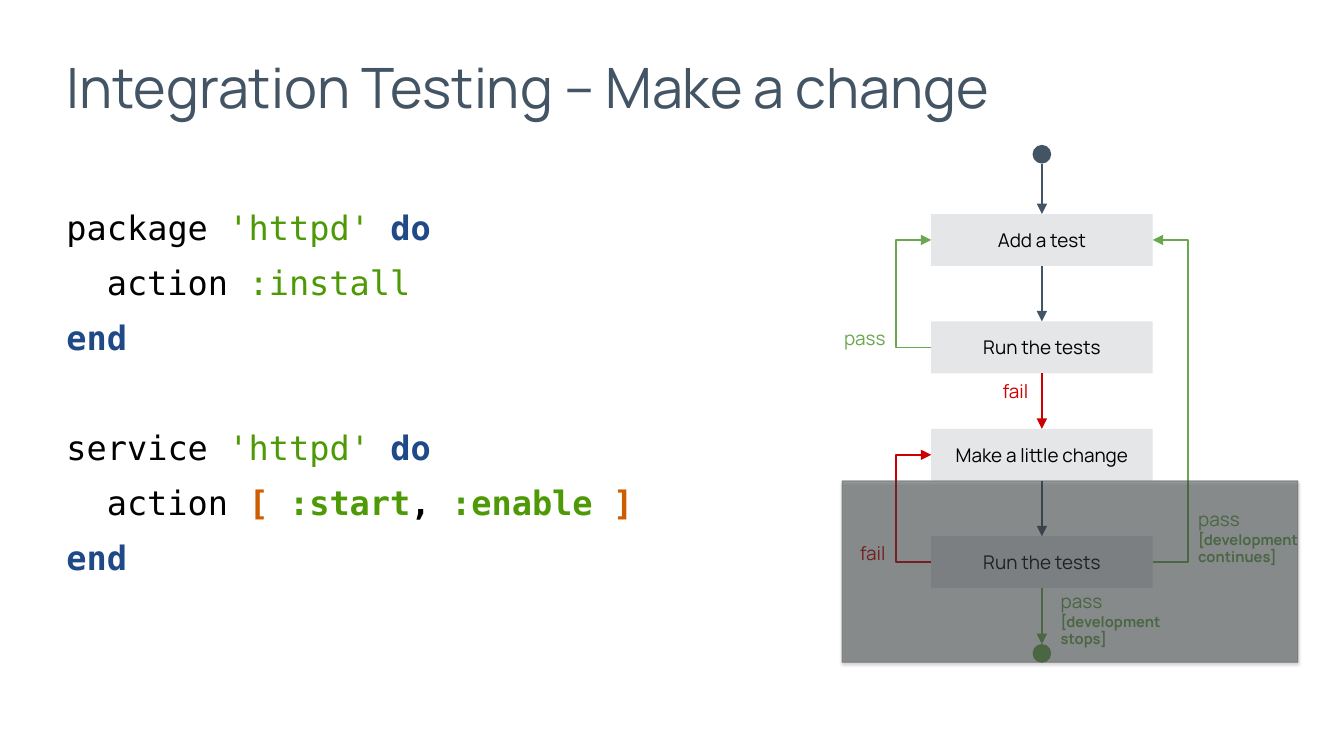
import pptx
import pptx.util
import pptx.dml.color
import pptx.enum.shapes
import pptx.enum.text
import pptx.oxml
import pptx.oxml.ns

Pt = pptx.util.Pt
RGB = pptx.dml.color.RGBColor
SHAPE = pptx.enum.shapes.MSO_SHAPE
LINE = pptx.enum.shapes.MSO_CONNECTOR
ALIGN = pptx.enum.text.PP_ALIGN
ANCHOR = pptx.enum.text.MSO_ANCHOR
qn = pptx.oxml.ns.qn

SLATE = RGB(0x43, 0x54, 0x64)
BLACK = RGB(0x00, 0x00, 0x00)
GREY = RGB(0xE4, 0xE6, 0xE7)
GREEN = RGB(0x6A, 0xA8, 0x4F)
RED = RGB(0xCC, 0x00, 0x00)
VEIL = RGB(0x3E, 0x43, 0x46)
STRING = RGB(0x4E, 0x9A, 0x06)
KEYWORD = RGB(0x20, 0x4A, 0x87)
BRACKET = RGB(0xCE, 0x5C, 0x00)
SANS, MONO = "Manrope", "DejaVu Sans Mono"


def write(para, text, size=18, color=BLACK, font=SANS, bold=False, align=None):
    span = para.add_run()
    span.text = text
    span.font.size = Pt(size)
    span.font.name = font
    span.font.bold = bold
    span.font.color.rgb = color
    if align is not None:
        para.alignment = align


def frame_text(box, inset, anchor):
    frame = box.text_frame
    frame.word_wrap = True
    frame.auto_size = pptx.enum.text.MSO_AUTO_SIZE.NONE
    frame.vertical_anchor = anchor
    frame.margin_left = frame.margin_right = Pt(inset)
    frame.margin_top = frame.margin_bottom = Pt(inset)
    return frame


deck = pptx.Presentation()
deck.slide_width, deck.slide_height = Pt(1280), Pt(720)
page = deck.slides.add_slide(deck.slide_layouts[1])

# Title
title = page.shapes.title
title.left, title.top, title.width, title.height = Pt(53.6), Pt(48), Pt(1173.6), Pt(58.3)
para = frame_text(title, 9.6, ANCHOR.TOP).paragraphs[0]
para.line_spacing = 0.9
write(para, "Integration Testing – Make a change", size=53, color=SLATE, align=ALIGN.LEFT)

# Code listing: indent level, space before, coloured spans
CODE = [
    (0, 8.9, [("package ", BLACK, False), ("'httpd' ", STRING, False), ("do", KEYWORD, True)]),
    (1, 8.9, [("action ", BLACK, False), (":install", STRING, False)]),
    (0, 8.9, [("end", KEYWORD, True)]),
    (0, 61.3, [("service ", BLACK, False), ("'httpd' ", STRING, False), ("do", KEYWORD, True)]),
    (1, 8.9, [("action ", BLACK, False), ("[ ", BRACKET, True), (":start", STRING, True),
              (", ", BLACK, True), (":enable ", STRING, True), ("]", BRACKET, True)]),
    (0, 8.9, [("end", KEYWORD, True)]),
]
body = page.placeholders[1]
body.left, body.top, body.width, body.height = Pt(53.6), Pt(192.2), Pt(1173), Pt(421.2)
frame = frame_text(body, 9.6, ANCHOR.TOP)
for number, (level, before, spans) in enumerate(CODE):
    para = frame.add_paragraph() if number else frame.paragraphs[0]
    para.line_spacing = 0.9
    para.space_before, para.space_after = Pt(before), Pt(8.9)
    props = para._p.get_or_add_pPr()
    props.set("marL", str(Pt(38.5 * level)))
    props.set("indent", "0")
    props.append(props.makeelement(qn("a:buNone"), {}))
    for text, color, bold in spans:
        write(para, text, size=32, color=color, font=MONO, bold=bold)

# Step boxes
MIDDLE, STEP_WIDTH, STEP_HEIGHT = 992.3, 211, 49.4
steps = []
for number, text in enumerate(
        ["Add a test", "Run the tests", "Make a little change", "Run the tests"]):
    box = page.shapes.add_shape(SHAPE.RECTANGLE, Pt(MIDDLE - STEP_WIDTH / 2),
                                Pt(203.8 + 102.3 * number), Pt(STEP_WIDTH), Pt(STEP_HEIGHT))
    box.shadow.inherit = False
    box.fill.solid()
    box.fill.fore_color.rgb = GREY
    box.line.fill.background()
    write(frame_text(box, 13, ANCHOR.MIDDLE).paragraphs[0], text, align=ALIGN.CENTER)
    steps.append(box)
add, first_run, change, second_run = steps

# Start and stop dots
dots = []
for top, color in [(138, SLATE), (613.4, GREEN)]:
    dot = page.shapes.add_shape(SHAPE.OVAL, Pt(MIDDLE - 8.9), Pt(top), Pt(17.8), Pt(17.8))
    dot.shadow.inherit = False
    dot.fill.solid()
    dot.fill.fore_color.rgb = color
    dot.line.fill.background()
    dots.append(dot)
start, stop = dots

# Arrows: source, target, colour, site on source, site on target, elbow reach
ARROWS = [
    (start, add, SLATE, 4, 0, 0),
    (add, first_run, SLATE, 2, 0, 0),
    (first_run, change, RED, 2, 0, 0),
    (change, second_run, SLATE, 2, 0, 0),
    (second_run, stop, GREEN, 2, 0, 0),
    (first_run, add, GREEN, 1, 1, -33.5),
    (second_run, change, RED, 1, 1, -33.5),
    (second_run, add, GREEN, 3, 3, 33.5),
]
ELBOW_WIDTH = 0.17
for source, target, color, leave, arrive, reach in ARROWS:
    arrow = page.shapes.add_connector(
        LINE.ELBOW if reach else LINE.STRAIGHT,
        Pt(MIDDLE), source.top + source.height, Pt(MIDDLE), target.top)
    if source is not start:
        arrow.begin_connect(source, leave)
    arrow.end_connect(target, arrive)
    arrow.line.color.rgb = color
    arrow.line.width = Pt(1.5)
    props = arrow._element.spPr
    props.find(qn("a:ln")).append(props.makeelement(
        qn("a:tailEnd"), {"type": "triangle", "w": "lg", "len": "lg"}))
    props.append(props.makeelement(qn("a:effectLst"), {}))
    if reach:
        # Runs upwards by a half turn and a mirror; the bend is a multiple of the width
        arrow.width = Pt(ELBOW_WIDTH)
        turn = props.find(qn("a:xfrm"))
        turn.attrib.pop("flipV", None)
        turn.set("rot", "10800000")
        turn.set("flipH", "1")
        guides = props.find(qn("a:prstGeom")).get_or_add_avLst()
        guides.append(guides.makeelement(
            qn("a:gd"), {"name": "adj1", "fmla": f"val {round(reach / ELBOW_WIDTH * 100000)}"}))

# Arrow labels
LABELS = [
    (1128.2, 486.7, 143.3, 49, GREEN, ALIGN.LEFT, "pass", "[development continues]"),
    (790.2, 517.7, 66.2, 18, RED, ALIGN.RIGHT, "fail", ""),
    (926.2, 362.9, 66.2, 18, RED, ALIGN.RIGHT, "fail", ""),
    (790.2, 313.2, 66.2, 18, GREEN, ALIGN.RIGHT, "pass", ""),
    (997.2, 580.3, 162, 18, GREEN, ALIGN.LEFT, "pass", "[development stops]"),
]
for left, top, width, height, color, align, result, note in LABELS:
    box = page.shapes.add_textbox(Pt(left), Pt(top), Pt(width), Pt(height))
    frame = frame_text(box, 13, ANCHOR.MIDDLE)
    write(frame.paragraphs[0], result, color=color, align=align)
    if note:
        write(frame.add_paragraph(), note, size=14, color=color, bold=True, align=align)

# Veil over the steps still to come
veil = page.shapes.add_shape(SHAPE.RECTANGLE, Pt(802), Pt(458), Pt(434.2), Pt(172.8))
veil.fill.solid()
veil.fill.fore_color.rgb = VEIL
veil.line.color.rgb = VEIL
veil.line.width = Pt(0.75)
for color in veil._element.spPr.iter(qn("a:srgbClr")):
    color.append(color.makeelement(qn("a:alpha"), {"val": "50000"}))
veil._element.spPr.append(pptx.oxml.parse_xml(
    '<a:effectLst xmlns:a="http://schemas.openxmlformats.org/drawingml/2006/main">'
    f'<a:outerShdw blurRad="{Pt(3.1)}" dist="{Pt(1.8)}" dir="5400000" rotWithShape="0">'
    '<a:srgbClr val="000000"><a:alpha val="35000"/></a:srgbClr>'
    '</a:outerShdw></a:effectLst>'))

deck.save("out.pptx")
